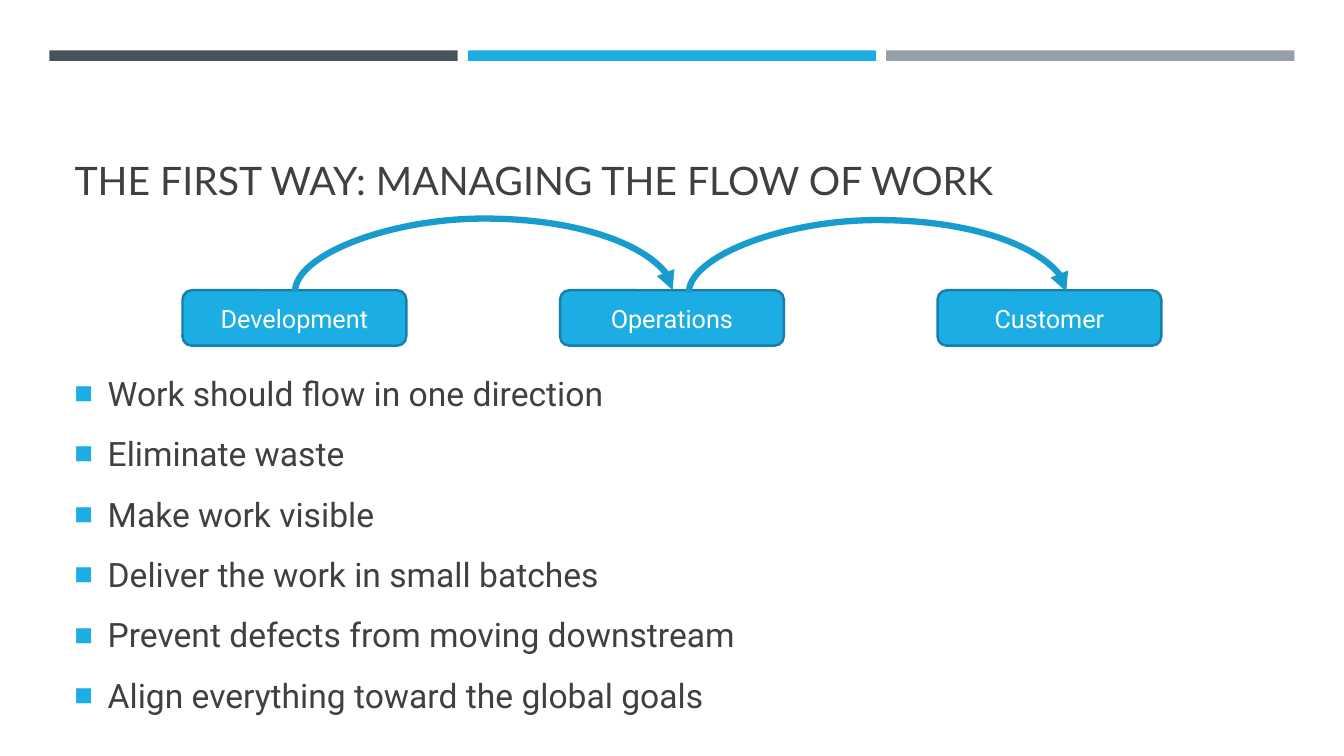
from dataclasses import dataclass

from lxml import etree
from pptx import Presentation, util as u
from pptx.dml.color import RGBColor
from pptx.enum import shapes, text
from pptx.oxml.ns import qn

SLIDE_W, SLIDE_H = u.Inches(13.33), u.Inches(7.5)


@dataclass(frozen=True)
class Theme:
    """Colours, fonts and type sizes of the slide."""
    ink: str = "404040"
    accent: str = "1CADE4"
    outline: str = "1580A9"
    arrow: str = "189CCE"
    white: str = "FFFFFF"
    bands: tuple = ("465359", "1CADE4", "969FA7")
    heading_font: str = "Lato"
    body_font: str = "Roboto"
    title_size: float = 28
    point_size: float = 24
    stage_size: float = 18


THEME = Theme()
TITLE = "THE FIRST WAY: MANAGING THE FLOW OF WORK"
STAGES = ("Development", "Operations", "Customer")
POINTS = (
    "Work should flow in one direction",
    "Eliminate waste",
    "Make work visible",
    "Deliver the work in small batches",
    "Prevent defects from moving downstream",
    "Align everything toward the global goals",
)
# Percent of the slide's width or height
MARGIN, CONTENT_W = 4.8, 90.48
BAND_LEFT, BAND_STEP, BAND_W = 3.68, 31.13, 30.38
STAGE_LEFT, STAGE_STEP, STAGE_W = 13.58, 28.09, 16.65
STAGE_TOP, STAGE_H = 38.4, 7.33
ARC_RISE = 9.73
ARC_STARTS = ((0.05, 38.47), (1.25, 38.67))  # shift from stage centre, height


def across(percent):
    """Turn a share of the slide's width into a length."""
    return round(SLIDE_W * percent / 100)


def down(percent):
    """Turn a share of the slide's height into a length."""
    return round(SLIDE_H * percent / 100)


def area(left, top, width, height):
    """Return a rectangle given in shares of the slide."""
    return across(left), down(top), across(width), down(height)


def apply(target, formats):
    """Set each attribute named in a dict of format values."""
    for name, value in formats.items():
        setattr(target, name, value)


def write(paragraph, words, font, size, colour):
    """Put one formatted run into a paragraph."""
    run = paragraph.add_run()
    run.text = words
    apply(run.font, {"name": font, "size": u.Pt(size)})
    run.font.color.rgb = RGBColor.from_string(colour)


def add_block(slide, kind, place, fill, outline=None):
    """Add a filled shape, with an outline if a colour is given."""
    block = slide.shapes.add_shape(kind, *place)
    block.shadow.inherit = False
    block.fill.solid()
    block.fill.fore_color.rgb = RGBColor.from_string(fill)
    if outline:
        block.line.color.rgb = RGBColor.from_string(outline)
        block.line.width = u.Pt(1.75)
    else:
        block.line.fill.background()
    return block


def add_title(slide):
    """Move the title placeholder and fill it."""
    heading = slide.shapes.title
    place = area(MARGIN, 10.27, CONTENT_W, 17.33)
    apply(heading, dict(zip(("left", "top", "width", "height"), place)))
    apply(heading.text_frame, {
        "auto_size": text.MSO_AUTO_SIZE.NONE,
        "word_wrap": True,
        "vertical_anchor": text.MSO_ANCHOR.BOTTOM,
    })
    line = heading.text_frame.paragraphs[0]
    line.alignment = text.PP_ALIGN.LEFT
    write(line, TITLE, THEME.heading_font, THEME.title_size, THEME.ink)


def add_stage(slide, index, label):
    """Add one rounded stage of the work flow."""
    place = area(STAGE_LEFT + index * STAGE_STEP, STAGE_TOP, STAGE_W, STAGE_H)
    stage = add_block(slide, shapes.MSO_SHAPE.ROUNDED_RECTANGLE, place,
                      THEME.accent, THEME.outline)
    stage.text_frame.vertical_anchor = text.MSO_ANCHOR.MIDDLE
    line = stage.text_frame.paragraphs[0]
    line.alignment = text.PP_ALIGN.CENTER
    write(line, label, THEME.body_font, THEME.stage_size, THEME.white)


def add_arc(slide, index, shift, height):
    """Arch an arrow from one stage over to the next."""
    start = STAGE_LEFT + STAGE_W / 2 + index * STAGE_STEP + shift
    middle, level = across(start + STAGE_STEP / 2), down(height)
    half, thin = across(STAGE_STEP / 2), u.Pt(1)
    # A thin upright curve, turned by a quarter, bulges upwards
    arc = slide.shapes.add_connector(
        shapes.MSO_CONNECTOR.CURVE, middle + thin // 2, level + half,
        middle - thin // 2, level - half)
    arc.line.color.rgb = RGBColor.from_string(THEME.arrow)
    arc.line.width = u.Pt(4.5)
    properties = arc._element.spPr
    properties.find(qn("a:xfrm")).set("rot", "5400000")
    guides = properties.find(qn("a:prstGeom")).get_or_add_avLst()
    bulge = round(down(ARC_RISE) / thin * 100000)
    etree.SubElement(guides, qn("a:gd"), name="adj1", fmla=f"val {bulge}")
    etree.SubElement(properties.find(qn("a:ln")), qn("a:tailEnd"), type="triangle")
    etree.SubElement(properties, qn("a:effectLst"))


def add_bullet(paragraph):
    """Give a paragraph a square bullet and a hanging indent."""
    settings = paragraph._p.get_or_add_pPr()
    indent = u.Inches(0.33)
    settings.set("marL", str(indent))
    settings.set("indent", str(-indent))
    colour = etree.SubElement(settings, qn("a:buClr"))
    etree.SubElement(colour, qn("a:srgbClr"), val=THEME.accent)
    etree.SubElement(settings, qn("a:buSzPct"), val="92000")
    etree.SubElement(settings, qn("a:buFont"), typeface="Arial")
    etree.SubElement(settings, qn("a:buChar"), char="■")


def add_points(slide):
    """Add the bulleted list of principles."""
    frame = slide.shapes.add_textbox(
        *area(MARGIN, 45.2, CONTENT_W, 52.93)).text_frame
    apply(frame, {"word_wrap": True, "vertical_anchor": text.MSO_ANCHOR.MIDDLE})
    for index, point in enumerate(POINTS):
        line = frame.add_paragraph() if index else frame.paragraphs[0]
        apply(line, {"line_spacing": 1.1, "space_before": u.Pt(5.5),
                     "space_after": u.Pt(6)})
        add_bullet(line)
        write(line, point, THEME.body_font, THEME.point_size, THEME.ink)


def main():
    """Build the slide and save it."""
    deck = Presentation()
    apply(deck, {"slide_width": SLIDE_W, "slide_height": SLIDE_H})
    slide = deck.slides.add_slide(deck.slide_layouts.get_by_name("Title Only"))
    for index, colour in enumerate(THEME.bands):
        place = area(BAND_LEFT + index * BAND_STEP, 6.67, BAND_W, 1.4)
        add_block(slide, shapes.MSO_SHAPE.RECTANGLE, place, colour)
    add_title(slide)
    add_points(slide)
    for index, label in enumerate(STAGES):
        add_stage(slide, index, label)
    for index, (shift, height) in enumerate(ARC_STARTS):
        add_arc(slide, index, shift, height)
    deck.save("out.pptx")


main()
